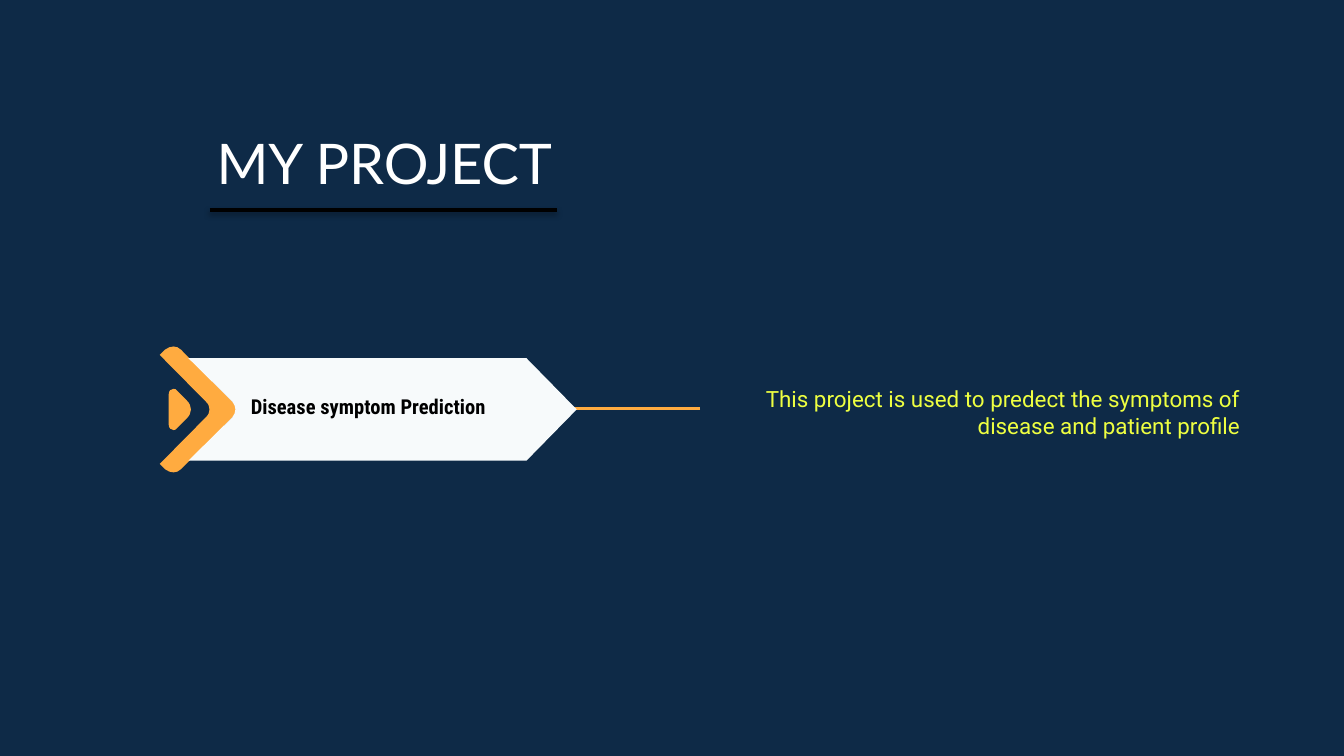
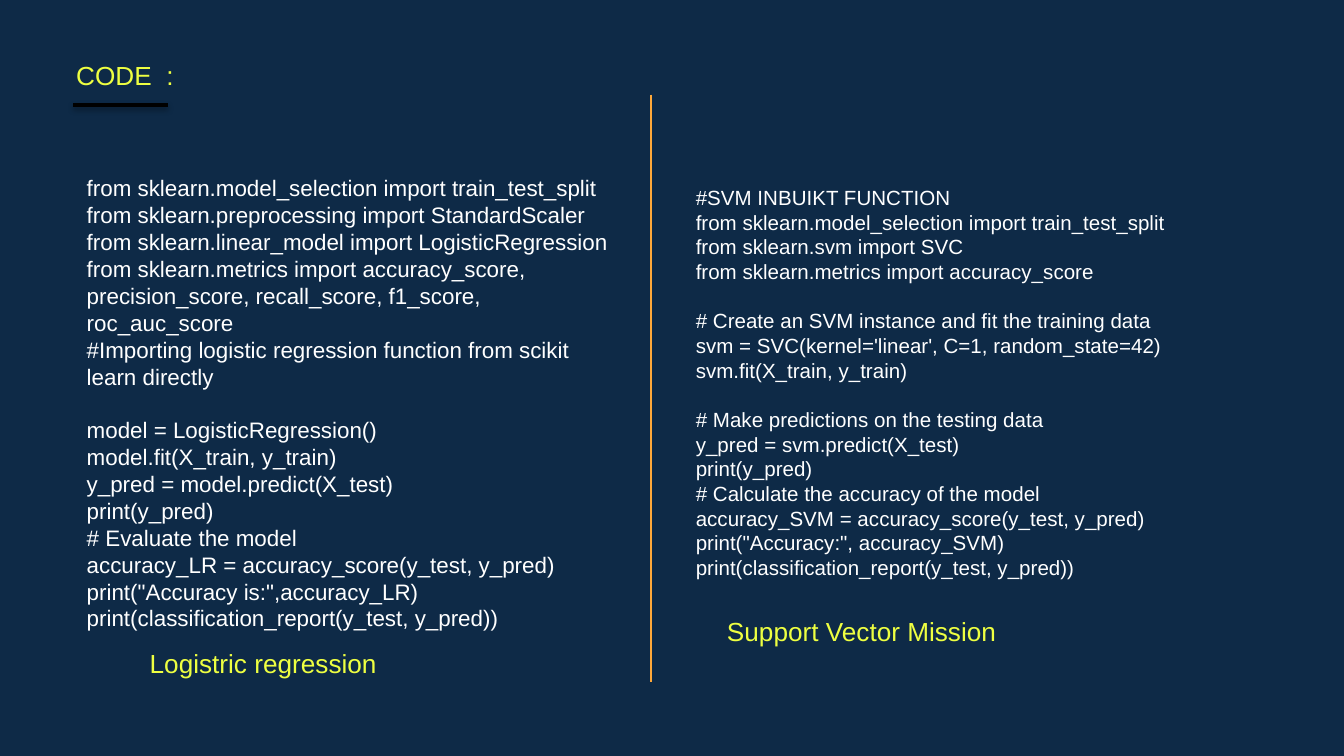
from dataclasses import dataclass

from lxml.etree import SubElement
from pptx import Presentation
from pptx.dml.color import RGBColor
from pptx.enum.shapes import MSO_CONNECTOR
from pptx.enum.text import MSO_ANCHOR, MSO_AUTO_SIZE, PP_ALIGN
from pptx.oxml.ns import qn
from pptx.util import Cm, Pt

COLORS = {
    "navy": "0E2A47",
    "white": "FFFFFF",
    "black": "000000",
    "yellow": "EEFF41",
    "orange": "FFAB40",
    "amber": "FEA83A",
    "ice": "F7FAFB",
}
AXIS = 7.74
LINE_HEIGHT = 1.2


@dataclass(frozen=True)
class Label:
    text: str
    left: float
    top: float
    width: float
    height: float
    size: float
    color: str
    font: str = "Arial"
    bold: bool = False
    align: PP_ALIGN = PP_ALIGN.LEFT
    anchor: MSO_ANCHOR = MSO_ANCHOR.TOP
    inset: float = 0.13
    wrap: bool = False
    grow: bool = True


@dataclass(frozen=True)
class Rule:
    x1: float
    y1: float
    x2: float
    y2: float
    color: str
    weight: float
    shadow: bool = False


@dataclass(frozen=True)
class Outline:
    color: str
    upper: tuple


@dataclass(frozen=True)
class Code:
    blocks: tuple
    left: float
    top: float
    width: float
    height: float
    size: float


PROJECT_TITLE = Label("MY PROJECT", 0.99, 2.2, 12.55, 1.73, 30, "white", "Lato",
                      align=PP_ALIGN.CENTER, anchor=MSO_ANCHOR.MIDDLE,
                      inset=0.25, wrap=True, grow=False)
CODE_TITLE = Label("CODE  :", 1.19, 0.99, 2.36, 0.86, 14, "yellow")

PROJECT_LABELS = (
    Label("Disease symptom Prediction", 4.49, 7.19, 5.41, 0.99, 11, "black",
          "Roboto Condensed", bold=True, anchor=MSO_ANCHOR.MIDDLE,
          inset=0.25, wrap=True, grow=False),
    Label("This project is used to predect the symptoms of disease and patient profile",
          13.23, 7.07, 10.46, 1.45, 12, "yellow", "Roboto", align=PP_ALIGN.RIGHT,
          anchor=MSO_ANCHOR.MIDDLE, inset=0.25, wrap=True, grow=False),
)
MODEL_LABELS = (
    Label("Logistric regression", 2.58, 12.1, 4.83, 0.86, 14, "yellow"),
    Label("Support Vector Mission", 13.49, 11.51, 5.66, 0.86, 14, "yellow"),
)

PROJECT_UNDERLINE = Rule(3.96, 3.97, 10.52, 3.97, "black", 2, True)
CODE_UNDERLINE = Rule(1.39, 1.98, 3.18, 1.98, "black", 2, True)
LINK = Rule(13.23, 7.72, 8.86, 7.72, "orange", 1.5)
DIVIDER = Rule(12.3, 1.79, 12.3, 12.9, "amber", 0.75)

CHEVRON = Outline("orange", (
    (3.96, 0), ((3.96, 0.06), (3.94, 0.1), (3.89, 0.15)),
    (3.02, 1.03), (3.12, 1.13),
    ((3.17, 1.17), (3.23, 1.19), (3.28, 1.19)),
    ((3.33, 1.19), (3.38, 1.17), (3.42, 1.13)),
    (4.39, 0.15), ((4.44, 0.1), (4.46, 0.05), (4.46, 0)),
))
BEAD = Outline("orange", (
    (3.19, 0), (3.19, 0.29),
    ((3.19, 0.35), (3.23, 0.39), (3.28, 0.39)),
    ((3.31, 0.39), (3.33, 0.38), (3.35, 0.35)),
    (3.53, 0.17), ((3.58, 0.12), (3.61, 0.06), (3.61, 0)),
))
BANNER = Outline("ice", (
    (4.45, 0), ((4.45, 0.05), (4.43, 0.1), (4.39, 0.15)),
    (3.56, 0.97), (9.95, 0.97), (10.9, 0),
))

LOGISTIC = Code((
    """from sklearn.model_selection import train_test_split
from sklearn.preprocessing import StandardScaler
from sklearn.linear_model import LogisticRegression
from sklearn.metrics import accuracy_score, precision_score, recall_score, f1_score, roc_auc_score
#Importing logistic regression function from scikit learn directly""",
    """model = LogisticRegression()
model.fit(X_train, y_train)
y_pred = model.predict(X_test)
print(y_pred)
# Evaluate the model
accuracy_LR = accuracy_score(y_test, y_pred)
print("Accuracy is:",accuracy_LR)
print(classification_report(y_test, y_pred))""",
), 1.39, 3.17, 10.52, 8.97, 12)
SVM = Code((
    """#SVM INBUIKT FUNCTION
from sklearn.model_selection import train_test_split
from sklearn.svm import SVC
from sklearn.metrics import accuracy_score""",
    """# Create an SVM instance and fit the training data
svm = SVC(kernel='linear', C=1, random_state=42)
svm.fit(X_train, y_train)""",
    """# Make predictions on the testing data
y_pred = svm.predict(X_test)
print(y_pred)
# Calculate the accuracy of the model
accuracy_SVM = accuracy_score(y_test, y_pred)
print("Accuracy:", accuracy_SVM)
print(classification_report(y_test, y_pred))""",
), 12.9, 3.37, 10.11, 7.77, 11)


def rgb(name: str) -> RGBColor:
    return RGBColor.from_string(COLORS[name])


def format_label(sp, label: Label) -> None:
    sp.left, sp.top = Cm(label.left), Cm(label.top)
    sp.width, sp.height = Cm(label.width), Cm(label.height)
    tf = sp.text_frame
    tf.text = label.text
    tf.word_wrap = label.wrap
    tf.auto_size = MSO_AUTO_SIZE.SHAPE_TO_FIT_TEXT if label.grow else MSO_AUTO_SIZE.NONE
    tf.vertical_anchor = label.anchor
    tf.margin_left = tf.margin_right = Cm(0.25)
    tf.margin_top = tf.margin_bottom = Cm(label.inset)
    for p in tf.paragraphs:
        p.alignment = label.align
        for r in p.runs:
            r.font.name = label.font
            r.font.size = Pt(label.size)
            r.font.bold = label.bold
            r.font.color.rgb = rgb(label.color)


def add_label(s, label: Label):
    sp = s.shapes.add_textbox(0, 0, Cm(label.width), Cm(label.height))
    format_label(sp, label)
    return sp


def add_code(s, code: Code) -> None:
    label = Label("\n".join(code.blocks), code.left, code.top, code.width,
                  code.height, code.size, "white", wrap=True)
    paragraphs = add_label(s, label).text_frame.paragraphs
    start = 0
    for block in code.blocks[:-1]:
        start += len(block.splitlines())
        paragraphs[start].space_before = Pt(code.size * LINE_HEIGHT)


def add_rule(s, rule: Rule) -> None:
    sp = s.shapes.add_connector(MSO_CONNECTOR.STRAIGHT, Cm(rule.x1), Cm(rule.y1),
                                Cm(rule.x2), Cm(rule.y2))
    sp.line.color.rgb = rgb(rule.color)
    sp.line.width = Pt(rule.weight)
    effects = SubElement(sp.element.spPr, qn("a:effectLst"))
    if rule.shadow:
        shadow = SubElement(effects, qn("a:outerShdw"), blurRad=str(Pt(3.1)),
                            dist=str(Pt(1.6)), dir="5400000", rotWithShape="0")
        color = SubElement(shadow, qn("a:srgbClr"), val=COLORS["black"])
        SubElement(color, qn("a:alpha"), val="38000")


def mirrored_segments(upper: tuple) -> list:
    segments = []
    start = upper[0]
    for step in upper[1:]:
        segment = (start, *step) if len(step) == 3 else (start, step)
        segments.append(segment)
        start = segment[-1]
    lower = [tuple((x, -rise) for x, rise in reversed(segment))
             for segment in reversed(segments)]
    return segments + lower


def add_outline(s, outline: Outline) -> None:
    segments = [[(Cm(x), Cm(AXIS - rise)) for x, rise in segment]
                for segment in mirrored_segments(outline.upper)]
    builder = s.shapes.build_freeform(*segments[0][0])
    builder.add_line_segments([segment[-1] for segment in segments], close=True)
    sp = builder.convert_to_shape()
    edges = list(sp.element.spPr.iter(qn("a:lnTo")))
    for edge, segment in zip(edges, segments):
        controls = segment[1:-1]
        if controls:
            edge.tag = qn("a:cubicBezTo")
        for i, (x, y) in enumerate(controls):
            point = SubElement(edge, qn("a:pt"), x=str(x - sp.left), y=str(y - sp.top))
            edge.insert(i, point)
    sp.shadow.inherit = False
    sp.fill.solid()
    sp.fill.fore_color.rgb = rgb(outline.color)
    sp.line.fill.background()


def add_slide(prs, title: Label, underline: Rule):
    s = prs.slides.add_slide(prs.slide_layouts[5])
    format_label(s.shapes.title, title)
    add_rule(s, underline)
    return s


def build_project(prs) -> None:
    s = add_slide(prs, PROJECT_TITLE, PROJECT_UNDERLINE)
    add_rule(s, LINK)
    for outline in (CHEVRON, BEAD, BANNER):
        add_outline(s, outline)
    for label in PROJECT_LABELS:
        add_label(s, label)


def build_code(prs) -> None:
    s = add_slide(prs, CODE_TITLE, CODE_UNDERLINE)
    for code in (LOGISTIC, SVM):
        add_code(s, code)
    for label in MODEL_LABELS:
        add_label(s, label)
    add_rule(s, DIVIDER)


def main() -> None:
    prs = Presentation()
    prs.slide_width, prs.slide_height = Cm(25.4), Cm(14.29)
    fill = prs.slide_master.background.fill
    fill.solid()
    fill.fore_color.rgb = rgb("navy")
    build_project(prs)
    build_code(prs)
    prs.save("out.pptx")


if __name__ == "__main__":
    main()
